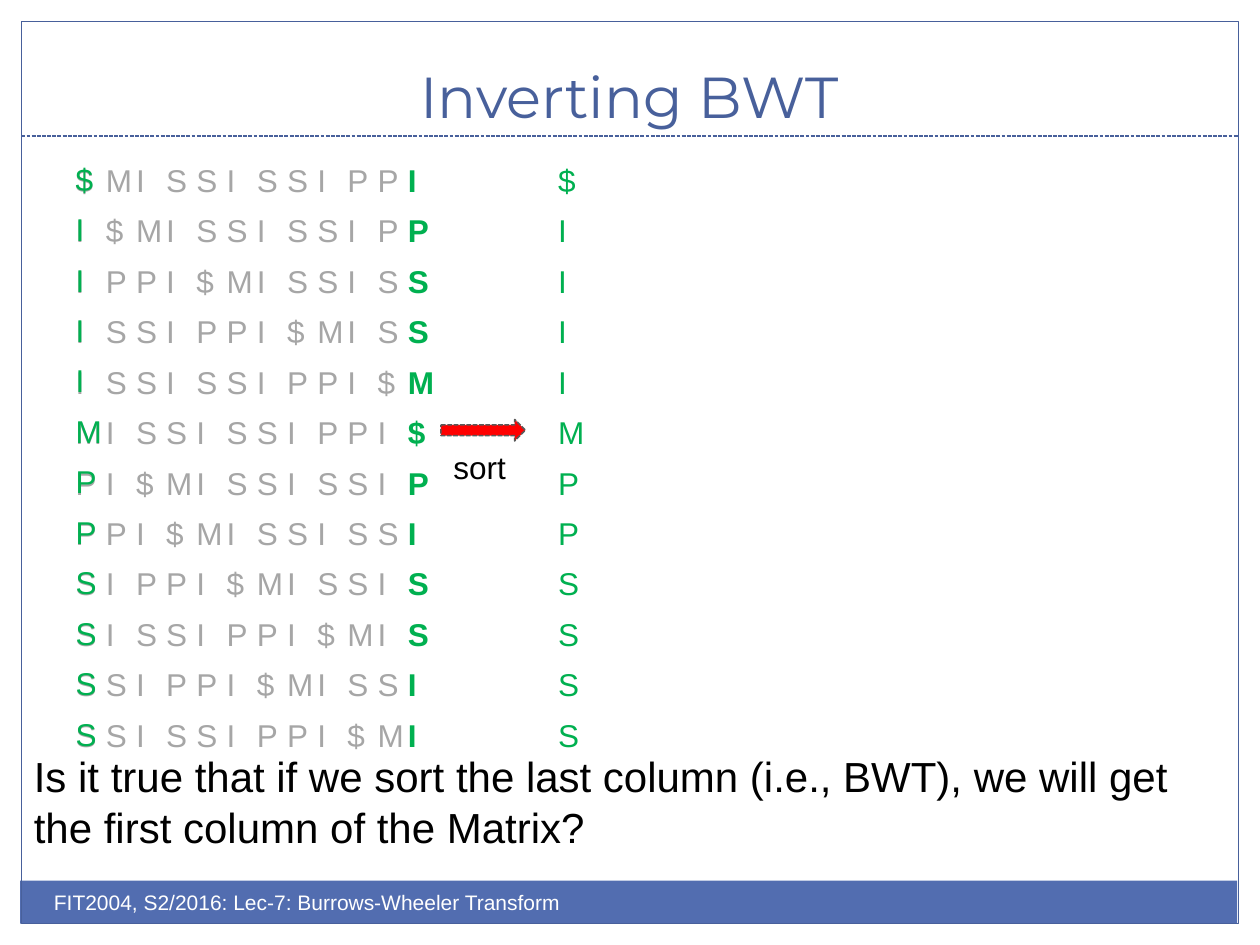
"""Build the slide on inverting the Burrows-Wheeler transform."""
from dataclasses import dataclass, field
from typing import Any, Optional

from lxml.etree import SubElement
from pptx import Presentation
from pptx.dml.color import RGBColor
from pptx.enum.dml import MSO_LINE as Dash
from pptx.enum.shapes import MSO_CONNECTOR as Connector, MSO_SHAPE as Preset
from pptx.enum.text import MSO_ANCHOR as Anchor, MSO_AUTO_SIZE as AutoSize, PP_ALIGN as Align
from pptx.oxml.ns import qn
from pptx.util import Pt

PX = 9144
BLUE, BAR_BLUE, GREEN, GREY = "48609B", "526DB0", "00B050", "A6A6A6"
BLACK, WHITE, RED, DARK = "000000", "FFFFFF", "FF0000", "5A5A5A"
PLAIN_TABLE = "{2D5ABB26-0587-4C30-8999-92F81FD0307C}"
CELL_WIDTH, CELL_HEIGHT = 24, 32
WORD = "MISSISSIPPI$"


@dataclass
class Box:
    left: int
    top: int
    width: int
    height: int

    def emu(self) -> tuple[int, ...]:
        return tuple(value * PX for value in (self.left, self.top, self.width, self.height))


@dataclass
class Block:
    box: Box
    preset: Any
    fill: Optional[str] = None
    line: Optional[str] = None
    line_format: dict[str, Any] = field(default_factory=dict)


@dataclass
class Label:
    box: Box
    text: str
    size: int
    color: str
    font: str = "Arial"
    align: Any = Align.LEFT
    frame_format: dict[str, Any] = field(default_factory=lambda: {"word_wrap": True})


@dataclass
class Grid:
    left: int
    top: int
    rows: list[str]
    color: str
    last_color: str
    last_bold: bool = False


def rgb(color: str) -> RGBColor:
    return RGBColor.from_string(color)


def apply_format(target: Any, values: dict[str, Any]) -> None:
    for name, value in values.items():
        setattr(target, name, value)


def write(paragraph: Any, text: str, color: str, align: Any, **font_format: Any) -> None:
    paragraph.alignment = align
    run = paragraph.add_run()
    run.text = text
    apply_format(run.font, font_format)
    run.font.color.rgb = rgb(color)


def draw_block(slide: Any, block: Block) -> None:
    shape = slide.shapes.add_shape(block.preset, *block.box.emu())
    shape.shadow.inherit = False
    for paint, color in ((shape.fill, block.fill), (shape.line.fill, block.line)):
        if color:
            paint.solid()
            paint.fore_color.rgb = rgb(color)
        else:
            paint.background()
    apply_format(shape.line, block.line_format)


def draw_rule(slide: Any, left: int, right: int, top: int) -> None:
    rule = slide.shapes.add_connector(
        Connector.STRAIGHT, left * PX, top * PX, right * PX, top * PX)
    rule.line.color.rgb = rgb(BLUE)
    apply_format(rule.line, {"width": Pt(0.75), "dash_style": Dash.SQUARE_DOT})
    SubElement(rule.element.spPr, qn("a:effectLst"))


def draw_label(slide: Any, label: Label) -> None:
    frame = slide.shapes.add_textbox(*label.box.emu()).text_frame
    apply_format(frame, label.frame_format)
    write(frame.paragraphs[0], label.text, label.color, label.align,
          size=Pt(label.size), name=label.font)


def draw_grid(slide: Any, grid: Grid) -> None:
    row_count, column_count = len(grid.rows), len(grid.rows[0])
    box = Box(grid.left, grid.top, column_count * CELL_WIDTH, row_count * CELL_HEIGHT)
    table = slide.shapes.add_table(row_count, column_count, *box.emu()).table
    apply_format(table, {"first_row": False, "horz_banding": False})
    table._tbl.tblPr.find(qn("a:tableStyleId")).text = PLAIN_TABLE
    for row, letters in enumerate(grid.rows):
        for column, letter in enumerate(letters):
            cell = table.cell(row, column)
            cell.fill.background()
            is_last = column == column_count - 1
            write(cell.text_frame.paragraphs[0], letter,
                  grid.last_color if is_last else grid.color, Align.CENTER,
                  size=Pt(18), name="Arial", bold=is_last and grid.last_bold)


def main() -> None:
    presentation = Presentation()
    presentation.slide_width, presentation.slide_height = 1000 * PX, 750 * PX
    slide = presentation.slides.add_slide(presentation.slide_layouts[6])

    rotations = sorted(WORD[start:] + WORD[:start] for start in range(len(WORD)))
    first_column = [rotation[0] for rotation in rotations]

    draw_block(slide, Block(Box(16, 699, 966, 34), Preset.RECTANGLE, fill=BAR_BLUE))
    draw_block(slide, Block(Box(17, 17, 966, 716), Preset.RECTANGLE, line=BLUE,
                            line_format={"width": Pt(0.75)}))
    draw_rule(slide, 17, 983, 108)

    draw_label(slide, Label(Box(33, 25, 933, 83), "Inverting BWT", 33, BLUE, "Montserrat",
                            Align.CENTER,
                            {"word_wrap": True, "vertical_anchor": Anchor.BOTTOM}))
    draw_label(slide, Label(
        Box(17, 591, 958, 100),
        "Is it true that if we sort the last column (i.e., BWT), "
        "we will get the first column of the Matrix?", 24, BLACK))
    draw_label(slide, Label(Box(33, 701, 500, 40),
                            "FIT2004, S2/2016: Lec-7: Burrows-Wheeler Transform", 12, WHITE))

    draw_grid(slide, Grid(50, 125, rotations, GREY, GREEN, last_bold=True))
    draw_block(slide, Block(Box(350, 333, 67, 17), Preset.RIGHT_ARROW, RED, DARK,
                            {"width": Pt(0.9), "dash_style": Dash.SQUARE_DOT}))
    for left, top in ((50, 124), (433, 125)):
        draw_grid(slide, Grid(left, top, first_column, GREEN, GREEN))
    draw_label(slide, Label(Box(350, 351, 62, 40), "sort", 18, BLACK, frame_format={
        "word_wrap": False, "auto_size": AutoSize.SHAPE_TO_FIT_TEXT}))

    presentation.save("out.pptx")


if __name__ == "__main__":
    main()
